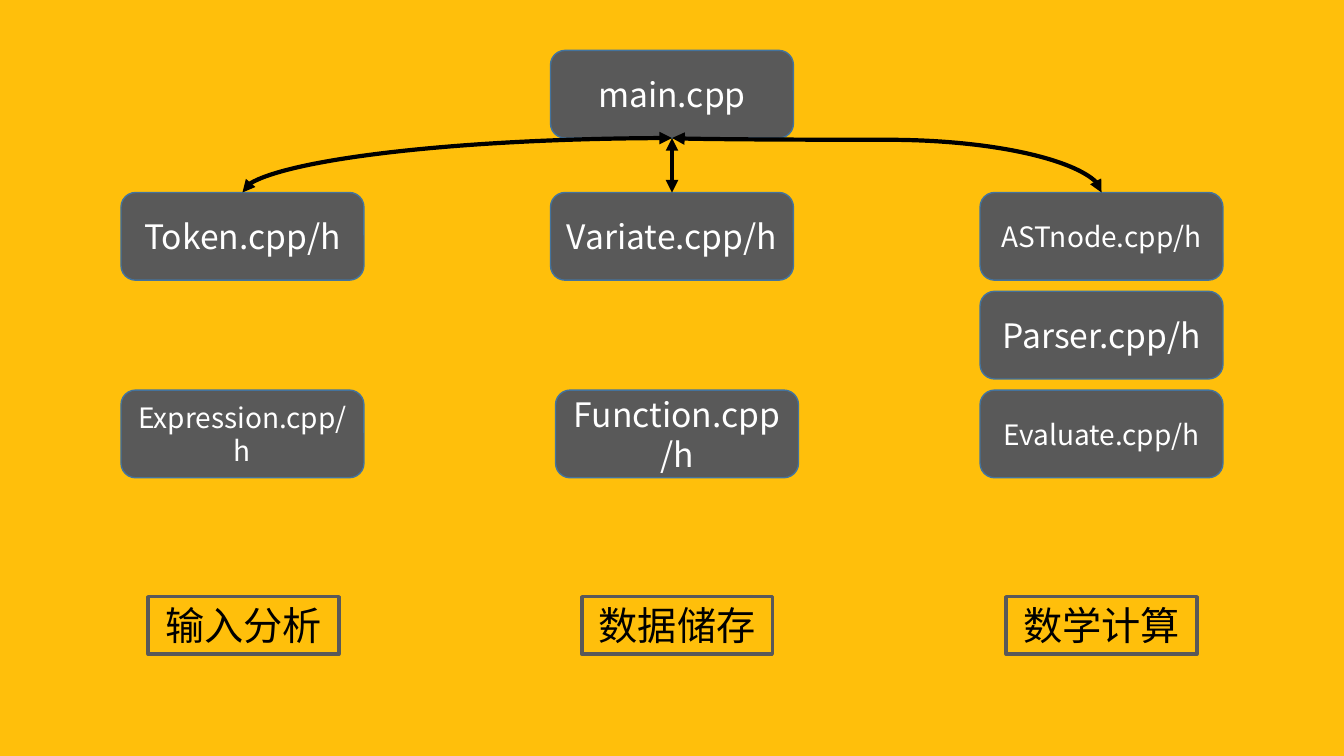
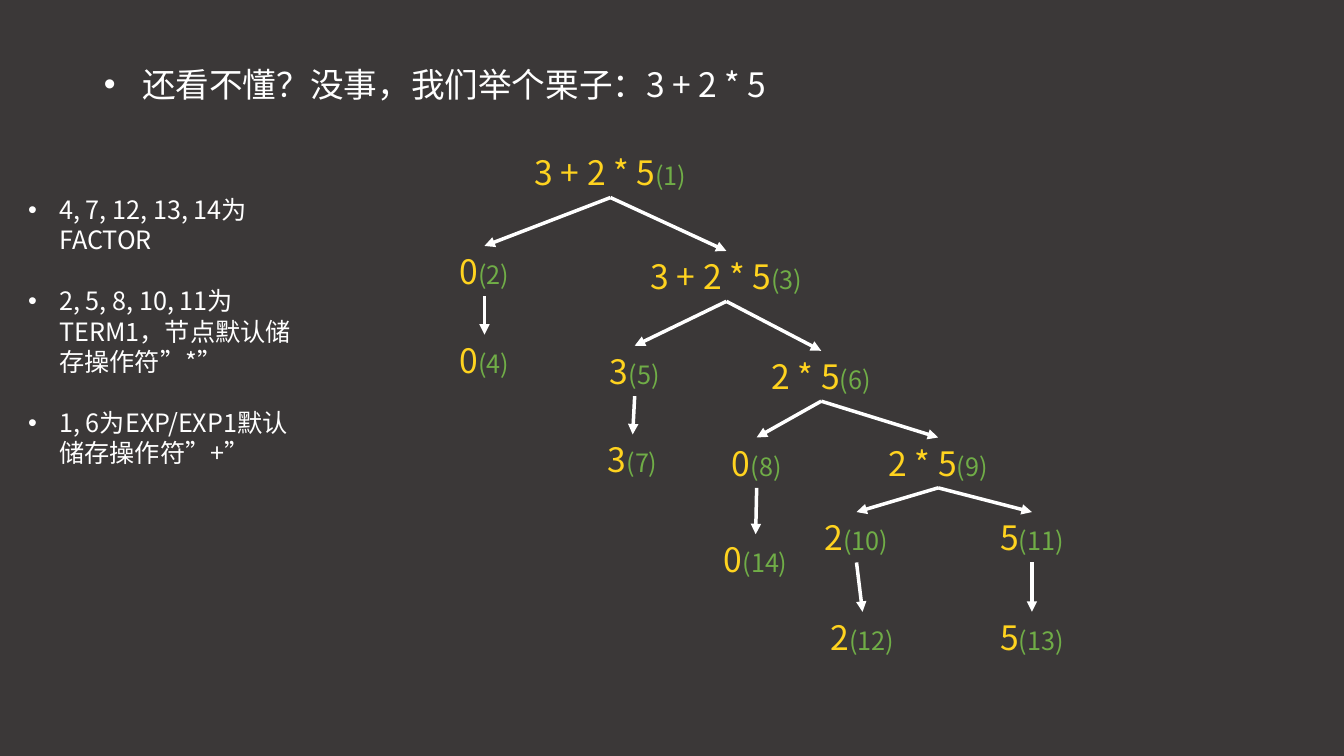
from dataclasses import dataclass

from lxml.etree import SubElement
from pptx import Presentation
from pptx.dml.color import RGBColor
from pptx.enum.shapes import MSO_CONNECTOR as Link, MSO_SHAPE as Preset
from pptx.enum.text import MSO_ANCHOR as Anchor, MSO_AUTO_SIZE as AutoSize, PP_ALIGN as Align
from pptx.oxml.ns import qn
from pptx.util import Inches, Pt


@dataclass(frozen=True)
class Theme:
    font: str = "Noto Sans CJK SC"
    amber: str = "FFBF0B"
    dark: str = "3B3838"
    gray: str = "595959"
    outline: str = "43739E"
    white: str = "FFFFFF"
    black: str = "000000"
    yellow: str = "FFD31F"
    green: str = "70AD47"
    label: int = 28
    large: int = 24
    medium: int = 20
    small: int = 18


THEME = Theme()

# Slide 1: source files as (name, left, row, size), and group labels
MAIN_FILE = "main.cpp"
FILES = [
    ("Token.cpp/h", 1.2, 0, THEME.large),
    ("Expression.cpp/h", 1.2, 2, THEME.medium),
    ("Variate.cpp/h", 5.46, 0, THEME.large),
    ("Function.cpp/h", 5.51, 2, THEME.large),
    ("ASTnode.cpp/h", 9.72, 0, THEME.medium),
    ("Parser.cpp/h", 9.72, 1, THEME.large),
    ("Evaluate.cpp/h", 9.72, 2, THEME.medium),
]
GROUPS = [("输入分析", 1.47), ("数据储存", 5.77), ("数学计算", 9.98)]
FILE_SIZE = (2.41, 0.87)
MAIN_AT = (5.46, 0.5)
FIRST_ROW, ROW_STEP = 1.91, 0.98

# Slide 2: tree nodes as number: (expression, left, top, parent)
EXAMPLE = "还看不懂？没事，我们举个栗子：3 + 2 * 5"
RULES = [
    "4, 7, 12, 13, 14为FACTOR",
    "2, 5, 8, 10, 11为TERM1，节点默认储存操作符”*”",
    "1, 6为EXP/EXP1默认储存操作符”+”",
]
TREE = {
    1: ("3 + 2 * 5", 5.01, 1.46, None),
    2: ("0", 3.76, 2.44, 1),
    3: ("3 + 2 * 5", 6.16, 2.49, 1),
    4: ("0", 3.76, 3.32, 2),
    5: ("3", 5.25, 3.43, 3),
    6: ("2 * 5", 7.1, 3.48, 3),
    7: ("3", 5.23, 4.31, 5),
    8: ("0", 6.46, 4.34, 6),
    9: ("2 * 5", 8.26, 4.34, 6),
    10: ("2", 7.45, 5.08, 9),
    11: ("5", 9.19, 5.08, 9),
    12: ("2", 7.51, 6.07, 10),
    13: ("5", 9.19, 6.07, 11),
    14: ("0", 6.45, 5.3, 8),
}
NODE_SIZE = (2.09, 0.5)
TOP, BOTTOM = 0, 2  # connection sites


def rgb(color):
    return RGBColor.from_string(color)


def write(shape, paragraphs, align=Align.CENTER, anchor=Anchor.TOP, indent=0, gap=0):
    """Fill a shape with paragraphs, each a list of (text, size, colour) runs."""
    frame = shape.text_frame
    frame.word_wrap = True
    frame.auto_size = AutoSize.NONE
    frame.vertical_anchor = anchor
    for index, runs in enumerate(paragraphs):
        paragraph = frame.add_paragraph() if index else frame.paragraphs[0]
        paragraph.alignment = align
        paragraph.space_after = Pt(gap)
        if indent:
            props = paragraph._p.get_or_add_pPr()
            props.set("marL", str(Inches(indent)))
            props.set("indent", str(-Inches(indent)))
            SubElement(props, qn("a:buFont"), typeface="Arial")
            SubElement(props, qn("a:buChar"), char="•")
        for text, size, color in runs:
            run = paragraph.add_run()
            run.text = text
            run.font.size = Pt(size)
            run.font.color.rgb = rgb(color)
            run.font.name = THEME.font
            SubElement(run._r.get_or_add_rPr(), qn("a:ea"), typeface=THEME.font)


def add_box(slide, left, top, size, preset=Preset.RECTANGLE, fill=None, line=None, width=1):
    box = slide.shapes.add_shape(preset, *map(Inches, (left, top, *size)))
    box.shadow.inherit = False
    if fill:
        box.fill.solid()
        box.fill.fore_color.rgb = rgb(fill)
    else:
        box.fill.background()
    box.line.color.rgb = rgb(line)
    box.line.width = Pt(width)
    return box


def connect(slide, start, start_site, end, end_site, color, width, kind=Link.STRAIGHT, both=False):
    arrow = slide.shapes.add_connector(kind, 0, 0, 0, 0)
    arrow.begin_connect(start, start_site)
    arrow.end_connect(end, end_site)
    arrow.line.color.rgb = rgb(color)
    arrow.line.width = Pt(width)
    outline = arrow.line._get_or_add_ln()
    if both:
        SubElement(outline, qn("a:headEnd"), type="triangle")
    SubElement(outline, qn("a:tailEnd"), type="triangle")
    SubElement(arrow._element.spPr, qn("a:effectLst"))
    return arrow


def turn_curve(arrow, degrees, preset, bend=None):
    """Turn a curve on its side so that it leaves its start vertically."""
    left, top, width, height = arrow.left, arrow.top, arrow.width, arrow.height
    arrow.left, arrow.top = left + (width - height) // 2, top + (height - width) // 2
    arrow.width, arrow.height = height, width
    frame = arrow._element.spPr.find(qn("a:xfrm"))
    frame.set("rot", str(degrees * 60000))
    frame.set("flipH", "1" if degrees == 90 else "0")
    frame.set("flipV", "1")
    geometry = arrow._element.spPr.find(qn("a:prstGeom"))
    geometry.set("prst", preset)
    if bend:
        guides = geometry.find(qn("a:avLst"))
        SubElement(guides, qn("a:gd"), name="adj1", fmla=f"val {bend}")


def add_slide(deck, layout, color):
    slide = deck.slides.add_slide(deck.slide_layouts[layout])
    slide.background.fill.solid()
    slide.background.fill.fore_color.rgb = rgb(color)
    return slide


def build_modules(deck):
    slide = add_slide(deck, 6, THEME.amber)

    # File boxes
    def add_file(name, left, top, size):
        box = add_box(slide, left, top, FILE_SIZE, Preset.ROUNDED_RECTANGLE,
                      THEME.gray, THEME.outline)
        write(box, [[(name, size, THEME.white)]], anchor=Anchor.MIDDLE)
        return box

    main_file = add_file(MAIN_FILE, *MAIN_AT, THEME.large)
    files = {name: add_file(name, left, FIRST_ROW + row * ROW_STEP, size)
             for name, left, row, size in FILES}

    # Group labels
    for name, left in GROUPS:
        label = add_box(slide, left, 5.92, (1.89, 0.57), line=THEME.gray, width=2.5)
        write(label, [[(name, THEME.label, THEME.black)]])

    # Two-way arrows to the main file
    def link_main(name, kind):
        return connect(slide, files[name], TOP, main_file, BOTTOM,
                       THEME.black, 3, kind, both=True)

    link_main("Variate.cpp/h", Link.STRAIGHT)
    turn_curve(link_main("Token.cpp/h", Link.CURVE), 90, "curvedConnector2")
    turn_curve(link_main("ASTnode.cpp/h", Link.CURVE), 270, "curvedConnector3", 96800)


def build_tree(deck):
    slide = add_slide(deck, 5, THEME.dark)

    # Title
    title = slide.shapes.title
    title.left, title.top, title.width, title.height = map(Inches, (0.93, 0.58, 10.84, 0.5))
    write(title, [[(EXAMPLE, THEME.large, THEME.white)]], align=Align.LEFT, indent=0.38)

    # Rules on the left
    rules = slide.shapes.add_textbox(*map(Inches, (0.18, 1.88, 2.98, 2.83)))
    write(rules, [[(rule, THEME.small, THEME.white)] for rule in RULES],
          align=Align.LEFT, indent=0.31, gap=22)

    # Nodes, each joined to its parent
    nodes = {}
    for number, (expression, left, top, parent) in TREE.items():
        node = slide.shapes.add_textbox(*map(Inches, (left, top, *NODE_SIZE)))
        write(node, [[(expression, THEME.large, THEME.yellow),
                      (f"({number})", THEME.small, THEME.green)]])
        nodes[number] = node
        if parent:
            connect(slide, nodes[parent], BOTTOM, node, TOP, THEME.white, 2.5)


def main():
    deck = Presentation()
    deck.slide_width, deck.slide_height = Inches(13.33), Inches(7.5)
    build_modules(deck)
    build_tree(deck)
    deck.save("out.pptx")


if __name__ == "__main__":
    main()
